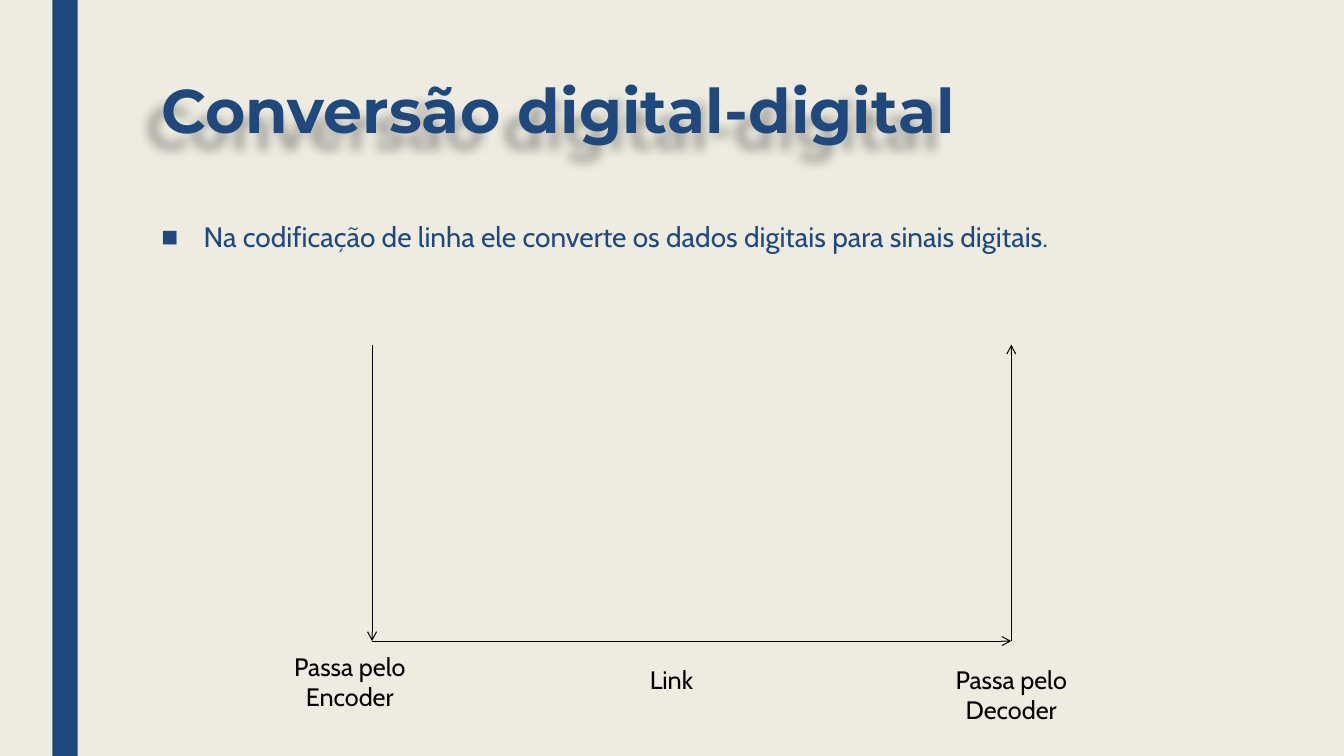
from lxml import etree
from pptx import Presentation
from pptx.dml.color import RGBColor
from pptx.enum.shapes import MSO_CONNECTOR, MSO_SHAPE
from pptx.enum.text import MSO_ANCHOR, MSO_AUTO_SIZE, PP_ALIGN
from pptx.oxml.ns import qn
from pptx.util import Inches, Pt

STRAIGHT = MSO_CONNECTOR.STRAIGHT
RECTANGLE = MSO_SHAPE.RECTANGLE
TOP = MSO_ANCHOR.TOP
NO_FIT, GROW = MSO_AUTO_SIZE.NONE, MSO_AUTO_SIZE.SHAPE_TO_FIT_TEXT
LEFT, CENTER = PP_ALIGN.LEFT, PP_ALIGN.CENTER

WIDTH, HEIGHT = 13.33, 7.5
COLORS = {"background": "EEECE1", "accent": "1F497D", "ink": "000000"}
TITLE = "Conversão digital-digital"
BULLET = "Na codificação de linha ele converte os dados digitais para sinais digitais."
MARGIN, CONTENT_WIDTH = 1.5, 10.5
ENCODER_X, DECODER_X = 3.69, 10.03
SIGNAL_Y, LINK_Y = 3.42, 6.36
ARROWS = [
    ((ENCODER_X, SIGNAL_Y), (ENCODER_X, LINK_Y)),
    ((DECODER_X, LINK_Y), (DECODER_X, SIGNAL_Y)),
    ((ENCODER_X, LINK_Y), (DECODER_X, LINK_Y)),
]
LABEL_WIDTH = 2.1
LABELS = [
    (["Passa pelo Encoder"], 2.42, 6.41, 0.71),
    (["Link"], 5.61, 6.54, 0.4),
    (["Passa pelo", "Decoder"], 8.98, 6.54, 0.71),
]


def color(name):
    return RGBColor.from_string(COLORS[name])


def place(shape, *box):
    shape.left, shape.top, shape.width, shape.height = map(Inches, box)


def write(shape, lines, size, font="Cabin", ink="ink", bold=False,
          align=LEFT, spacing=1.0, before=0, after=0, fit=NO_FIT):
    frame = shape.text_frame
    frame.text = "\n".join(lines)
    frame.word_wrap = True
    frame.auto_size = fit
    frame.vertical_anchor = TOP
    for paragraph in frame.paragraphs:
        paragraph.alignment = align
        paragraph.line_spacing = spacing
        paragraph.space_before, paragraph.space_after = Pt(before), Pt(after)
        for run in paragraph.runs:
            run.font.name, run.font.size, run.font.bold = font, Pt(size), bold
            run.font.color.rgb = color(ink)


def add_square_bullet(paragraph, indent):
    properties = paragraph._p.get_or_add_pPr()
    properties.set("marL", str(Inches(indent)))
    properties.set("indent", str(-Inches(indent)))
    etree.SubElement(properties, qn("a:buFont"), typeface="Arial")
    etree.SubElement(properties, qn("a:buChar"), char="■")


def add_soft_shadow(shape):
    effects = etree.SubElement(shape._element.spPr, qn("a:effectLst"))
    shadow = etree.SubElement(
        effects, qn("a:outerShdw"), blurRad=str(Inches(0.1)),
        dist=str(Inches(0.23)), dir="8100000", algn="tl", rotWithShape="0")
    tint = etree.SubElement(shadow, qn("a:srgbClr"), val=COLORS["ink"])
    etree.SubElement(tint, qn("a:alpha"), val="30000")


def add_arrow(slide, start, end):
    arrow = slide.shapes.add_connector(STRAIGHT, *map(Inches, start + end))
    arrow.line.color.rgb = color("ink")
    arrow.line.width = Pt(0.75)
    etree.SubElement(arrow.line._get_or_add_ln(), qn("a:tailEnd"), type="arrow")
    etree.SubElement(arrow._element.spPr, qn("a:effectLst"))


def main():
    presentation = Presentation()
    presentation.slide_width = Inches(WIDTH)
    presentation.slide_height = Inches(HEIGHT)
    slide = presentation.slides.add_slide(presentation.slide_layouts[1])
    slide.background.fill.solid()
    slide.background.fill.fore_color.rgb = color("background")

    bar = slide.shapes.add_shape(
        RECTANGLE, *map(Inches, (0.52, 0, 0.25, HEIGHT)))
    bar.shadow.inherit = False
    bar.fill.solid()
    bar.fill.fore_color.rgb = color("accent")
    bar.line.fill.background()

    title, body = slide.placeholders
    place(title, MARGIN, 0.75, CONTENT_WIDTH, 0.92)
    write(title, [TITLE], 44, font="Montserrat", ink="accent", bold=True,
          spacing=0.89)
    add_soft_shadow(title)
    place(body, MARGIN, 2.15, CONTENT_WIDTH, 0.55)
    write(body, [BULLET], 20, ink="accent", spacing=0.94, before=10, after=2)
    add_square_bullet(body.text_frame.paragraphs[0], 0.42)

    for start, end in ARROWS:
        add_arrow(slide, start, end)
    for lines, left, top, height in LABELS:
        label = slide.shapes.add_textbox(
            *map(Inches, (left, top, LABEL_WIDTH, height)))
        write(label, lines, 18, align=CENTER, fit=GROW)

    presentation.save("out.pptx")


if __name__ == "__main__":
    main()
